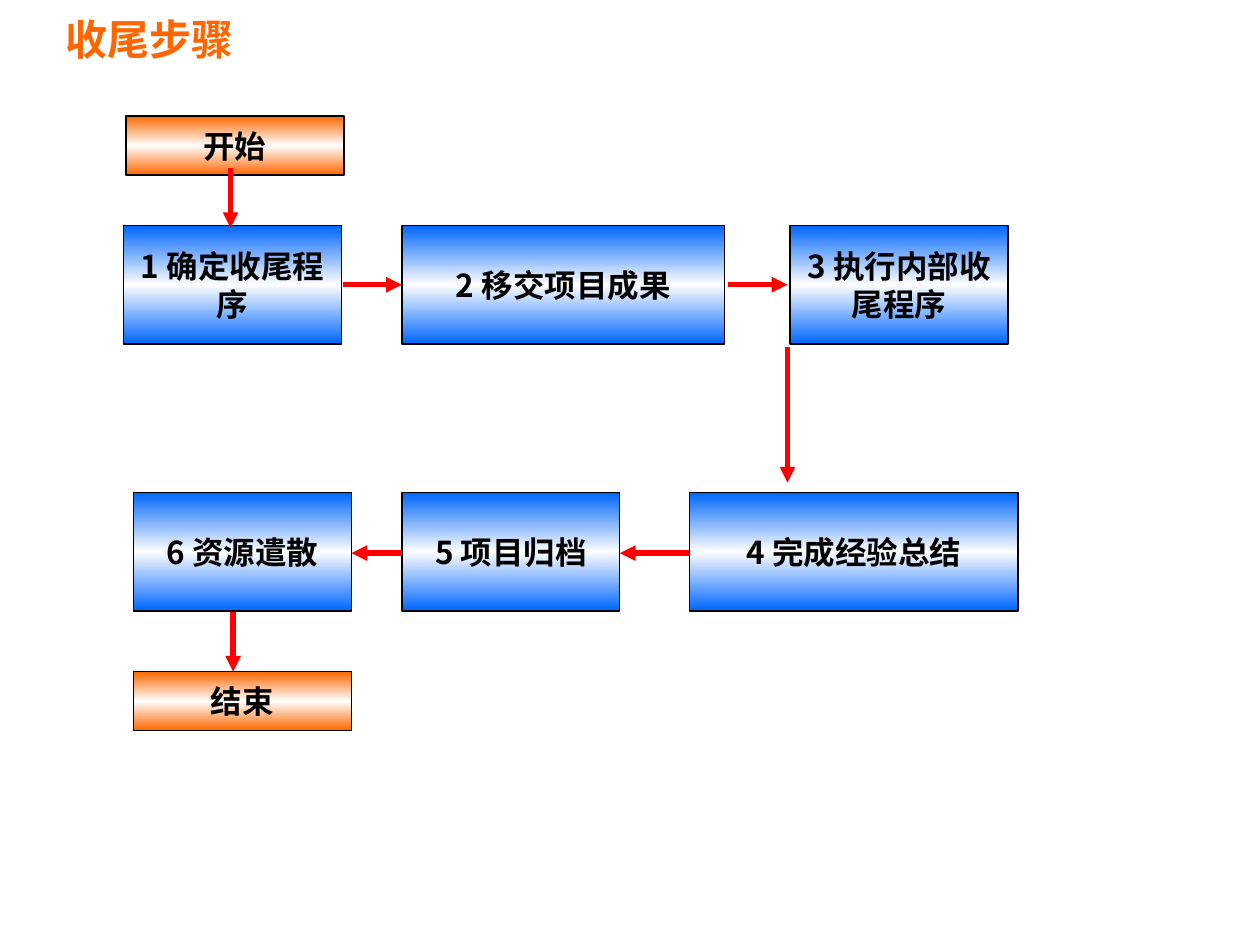
import copy

import pptx
import pptx.dml.color
import pptx.enum.shapes
import pptx.enum.text
import pptx.oxml
import pptx.oxml.ns
import pptx.util

Inches = pptx.util.Inches
Pt = pptx.util.Pt
ALIGN = pptx.enum.text.PP_ALIGN

COLORS = {"orange": "FF6600", "blue": "0066FF", "middle": "FEFEFE",
          "text": "000000", "arrow": "FF0000"}
CJK_FONT = "Noto Sans CJK SC"


def rgb(name):
    return pptx.dml.color.RGBColor.from_string(COLORS[name])


def write_text(tf, text, size=18, font=CJK_FONT, color="text", align=ALIGN.CENTER):
    tf.word_wrap = True
    tf.auto_size = pptx.enum.text.MSO_AUTO_SIZE.NONE
    tf.vertical_anchor = pptx.enum.text.MSO_ANCHOR.MIDDLE
    p = tf.paragraphs[0]
    p.alignment = align
    r = p.add_run()
    r.text = text
    r.font.size = Pt(size)
    r.font.name = font
    r.font.bold = True
    r.font.color.rgb = rgb(color)
    ea = pptx.oxml.parse_xml(
        f'<a:ea {pptx.oxml.ns.nsdecls("a")} typeface="{CJK_FONT}"/>')
    r.font._element.find(pptx.oxml.ns.qn("a:latin")).addnext(ea)


class FlowSlide:
    """Current slide and the style of its flow chart."""

    border = Pt(0.75)
    arrow_width = Pt(3)

    def __init__(self, prs):
        self.s = prs.slides.add_slide(prs.slide_layouts[5])

    def title(self, text, x, y, w, h):
        sp = self.s.shapes.title
        sp.left, sp.top, sp.width, sp.height = map(Inches, (x, y, w, h))
        write_text(sp.text_frame, text, size=24, font="Arial",
                   color="orange", align=ALIGN.LEFT)

    def box(self, text, x, y, w, h, color):
        sp = self.s.shapes.add_shape(pptx.enum.shapes.MSO_SHAPE.RECTANGLE,
                                     *map(Inches, (x, y, w, h)))
        sp.shadow.inherit = False
        sp.line.color.rgb = rgb("text")
        sp.line.width = self.border
        self.gradient(sp.fill, color)
        write_text(sp.text_frame, text)

    def gradient(self, fill, color):
        fill.gradient()
        fill.gradient_angle = 270
        stops = fill.gradient_stops._gsLst
        stops.insert(1, copy.deepcopy(stops[0]))
        names = (color, "middle", color)
        for stop, name, pos in zip(fill.gradient_stops, names, (0, 0.5, 1)):
            stop.color.rgb = rgb(name)
            stop.position = pos

    def arrow(self, x1, y1, x2, y2):
        c = self.s.shapes.add_connector(pptx.enum.shapes.MSO_CONNECTOR.STRAIGHT,
                                        *map(Inches, (x1, y1, x2, y2)))
        c.line.color.rgb = rgb("arrow")
        c.line.width = self.arrow_width
        ns = pptx.oxml.ns.nsdecls("a")
        c.line._get_or_add_ln().append(
            pptx.oxml.parse_xml(f'<a:tailEnd {ns} type="triangle"/>'))
        c._element.spPr.append(pptx.oxml.parse_xml(f"<a:effectLst {ns}/>"))


def main():
    prs = pptx.Presentation()
    prs.slide_width, prs.slide_height = Inches(10), Inches(7.5)
    flow = FlowSlide(prs)
    flow.title("收尾步骤", 0.42, 0, 4.58, 0.62)

    # Steps: two rows of blue boxes
    box_w, step_h, end_h = 1.73, 0.94, 0.47
    rows = {
        1.79: [("1 确定收尾程序", 0.98, box_w), ("2 移交项目成果", 3.19, 2.56),
               ("3 执行内部收尾程序", 6.27, box_w)],
        3.91: [("4 完成经验总结", 5.47, 2.61), ("5 项目归档", 3.19, box_w),
               ("6 资源遣散", 1.06, box_w)],
    }
    for y, steps in rows.items():
        for text, x, w in steps:
            flow.box(text, x, y, w, step_h, "blue")

    # Start and end
    flow.box("开始", 1, 0.92, box_w, end_h, "orange")
    flow.box("结束", 1.06, 5.33, box_w, end_h, "orange")

    # Horizontal arrows run along the middle of each row
    for y, x1, x2 in [(2.26, 2.72, 3.19), (2.26, 5.78, 6.25),
                      (4.39, 5.47, 4.92), (4.39, 3.19, 2.79)]:
        flow.arrow(x1, y, x2, y)

    # Vertical arrows between rows
    for x, y1, y2 in [(1.83, 1.33, 1.81), (6.25, 2.75, 3.83), (1.85, 4.86, 5.33)]:
        flow.arrow(x, y1, x, y2)

    prs.save("out.pptx")


if __name__ == "__main__":
    main()
